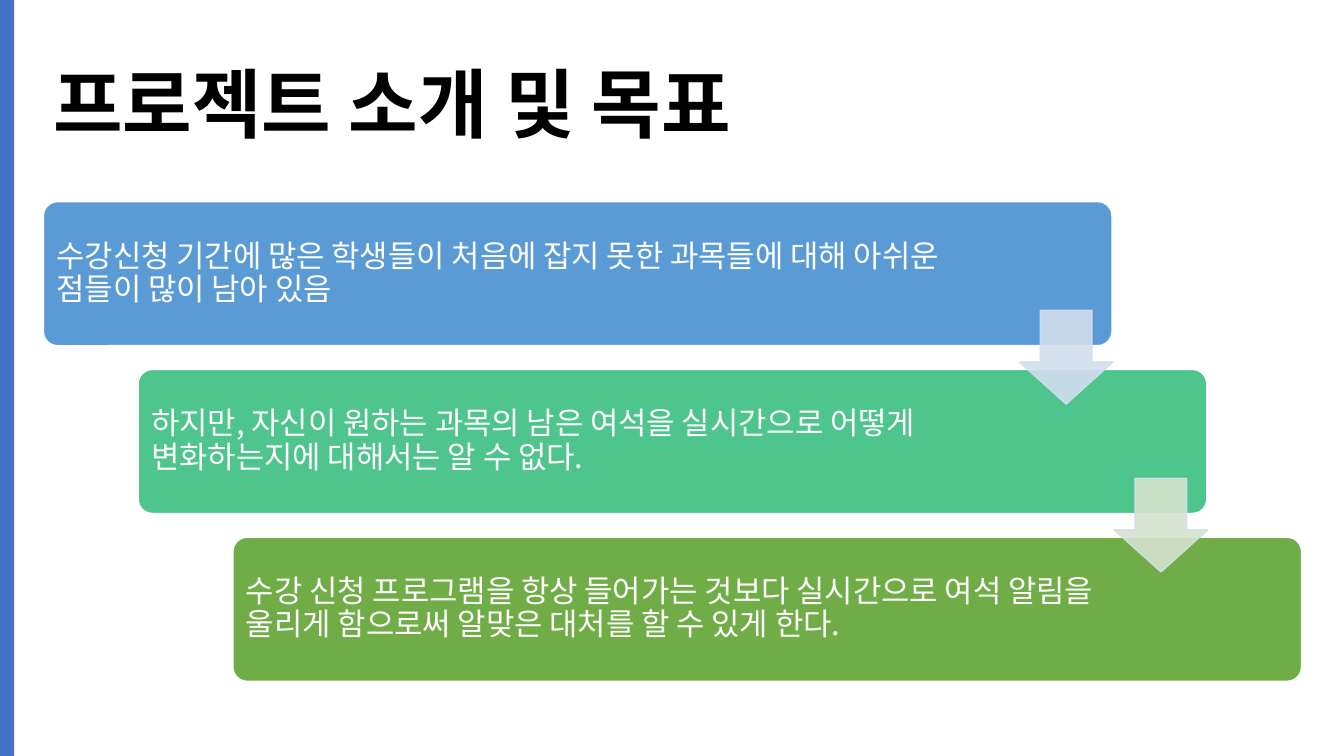
from lxml import etree
from pptx import Presentation
from pptx.dml.color import RGBColor
from pptx.enum.shapes import MSO_SHAPE
from pptx.enum.text import MSO_ANCHOR
from pptx.oxml.ns import qn
from pptx.util import Inches, Pt

RECT = MSO_SHAPE.RECTANGLE
ROUNDED = MSO_SHAPE.ROUNDED_RECTANGLE
DOWN_ARROW = MSO_SHAPE.DOWN_ARROW
MIDDLE = MSO_ANCHOR.MIDDLE

FONT = "Noto Sans CJK KR"
TITLE = "프로젝트 소개 및 목표"
# text, fill, text width
STEPS = [
    ("수강신청 기간에 많은 학생들이 처음에 잡지 못한 과목들에 대해 아쉬운 점들이 많이 남아 있음",
     "5B9BD5", 9.06),
    ("하지만, 자신이 원하는 과목의 남은 여석을 실시간으로 어떻게 변화하는지에 대해서는 알 수 없다.",
     "4DC58D", 8.66),
    ("수강 신청 프로그램을 항상 들어가는 것보다 실시간으로 여석 알림을 울리게 함으로써 알맞은 대처를 할 수 있게 한다.",
     "70AD47", 8.66),
]
ARROW_FILLS = ["D2DEEF", "D5E3CF"]
ARROW_LINE = "D2DEEF"

LEFT, TOP = 0.43, 2
STEP_W, STEP_H = 10.6, 1.43
DX, DY = 0.94, 1.665
PAD = 0.04
ARROW_LEFT, ARROW_TOP, ARROW_SIZE = 10.11, 3.08, 0.93


def rgb(value):
    return RGBColor.from_string(value)


def set_alpha(sp, percent):
    """Make the fill and line of a shape partly transparent."""
    for color in sp._element.spPr.iter(qn("a:srgbClr")):
        etree.SubElement(color, qn("a:alpha"), val=str(percent * 1000))


def add_box(kind, x, y, w, h, fill, line=None, adjustments=()):
    sp = slide.shapes.add_shape(kind, Inches(x), Inches(y), Inches(w), Inches(h))
    sp.shadow.inherit = False
    sp.fill.solid()
    sp.fill.fore_color.rgb = rgb(fill)
    if line:
        sp.line.color.rgb = rgb(line)
        sp.line.width = Pt(1)
    else:
        sp.line.fill.background()
    for i, value in enumerate(adjustments):
        sp.adjustments[i] = value
    return sp


def add_text(text, x, y, w, h, size=22, color="FFFFFF", bold=False, inset=0.09, after=0):
    tf = slide.shapes.add_textbox(Inches(x), Inches(y), Inches(w), Inches(h)).text_frame
    tf.word_wrap = True
    tf.vertical_anchor = MIDDLE
    tf.margin_left = tf.margin_right = tf.margin_top = tf.margin_bottom = Inches(inset)
    p = tf.paragraphs[0]
    p.line_spacing = 0.9
    p.space_after = Pt(after)
    r = p.add_run()
    r.text = text
    r.font.size = Pt(size)
    r.font.bold = bold
    r.font.color.rgb = rgb(color)
    r.font.name = FONT
    etree.SubElement(r.font._element, qn("a:ea"), typeface=FONT)


prs = Presentation()
prs.slide_width, prs.slide_height = Inches(13.33), Inches(7.5)
slide = prs.slides.add_slide(prs.slide_layouts[6])

add_text(TITLE, LEFT, 0.35, 12.48, 1.45, size=54, color="000000", bold=True, inset=0.1)
add_box(RECT, 0, 0, 0.14, 7.5, "4472C4")

for i, (text, fill, text_w) in enumerate(STEPS):
    x, y = LEFT + i * DX, TOP + i * DY
    add_box(ROUNDED, x, y, STEP_W, STEP_H, fill, "FFFFFF", [0.1])
    add_text(text, x + PAD, y + PAD, text_w, STEP_H - 2 * PAD, after=7.7)

for i, fill in enumerate(ARROW_FILLS):
    arrow = add_box(DOWN_ARROW, ARROW_LEFT + i * DX, ARROW_TOP + i * DY,
                    ARROW_SIZE, ARROW_SIZE, fill, ARROW_LINE)
    # order: shaft width, head length
    arrow.adjustments[0], arrow.adjustments[1] = 0.55, 0.45
    set_alpha(arrow, 90)

prs.save("out.pptx")
